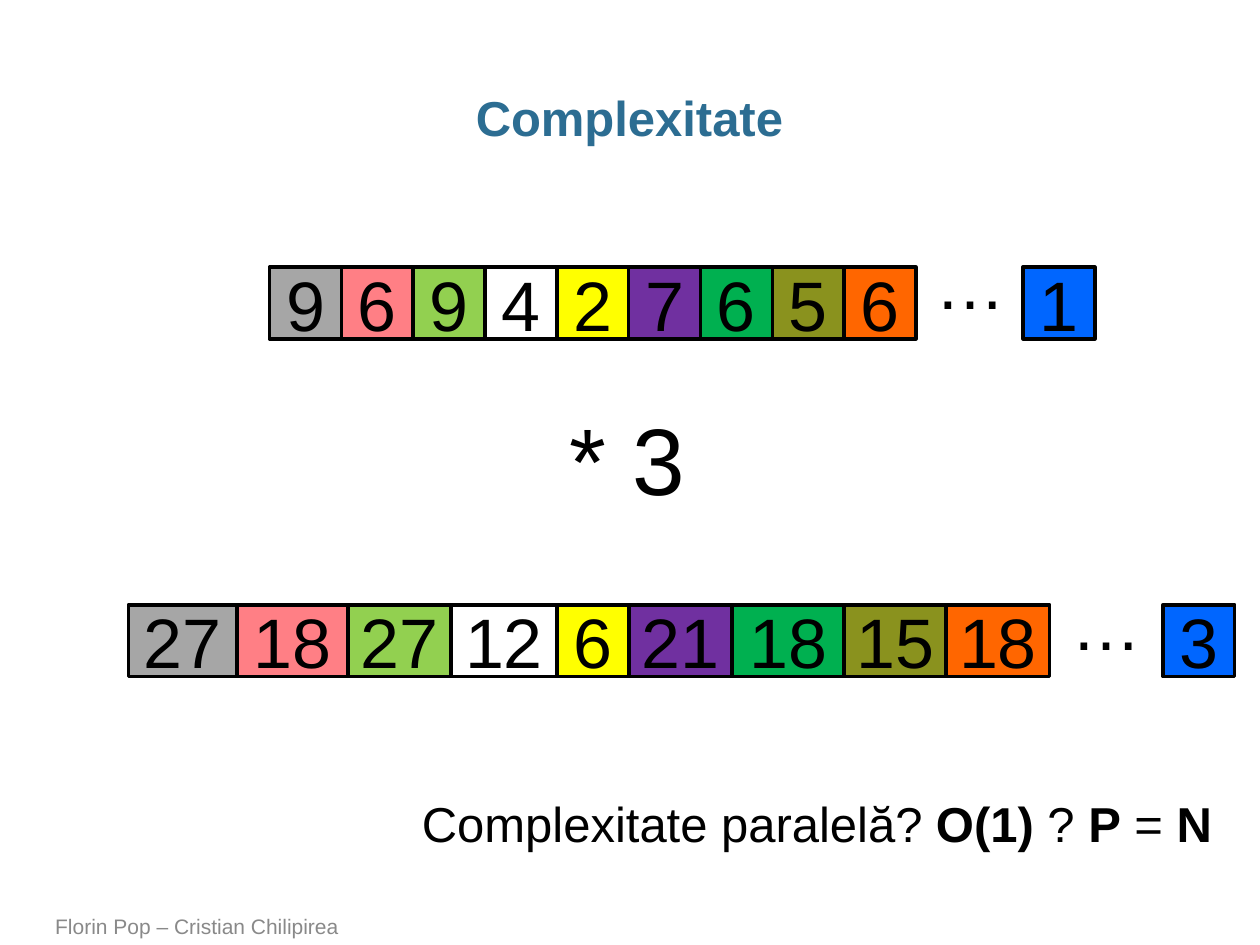
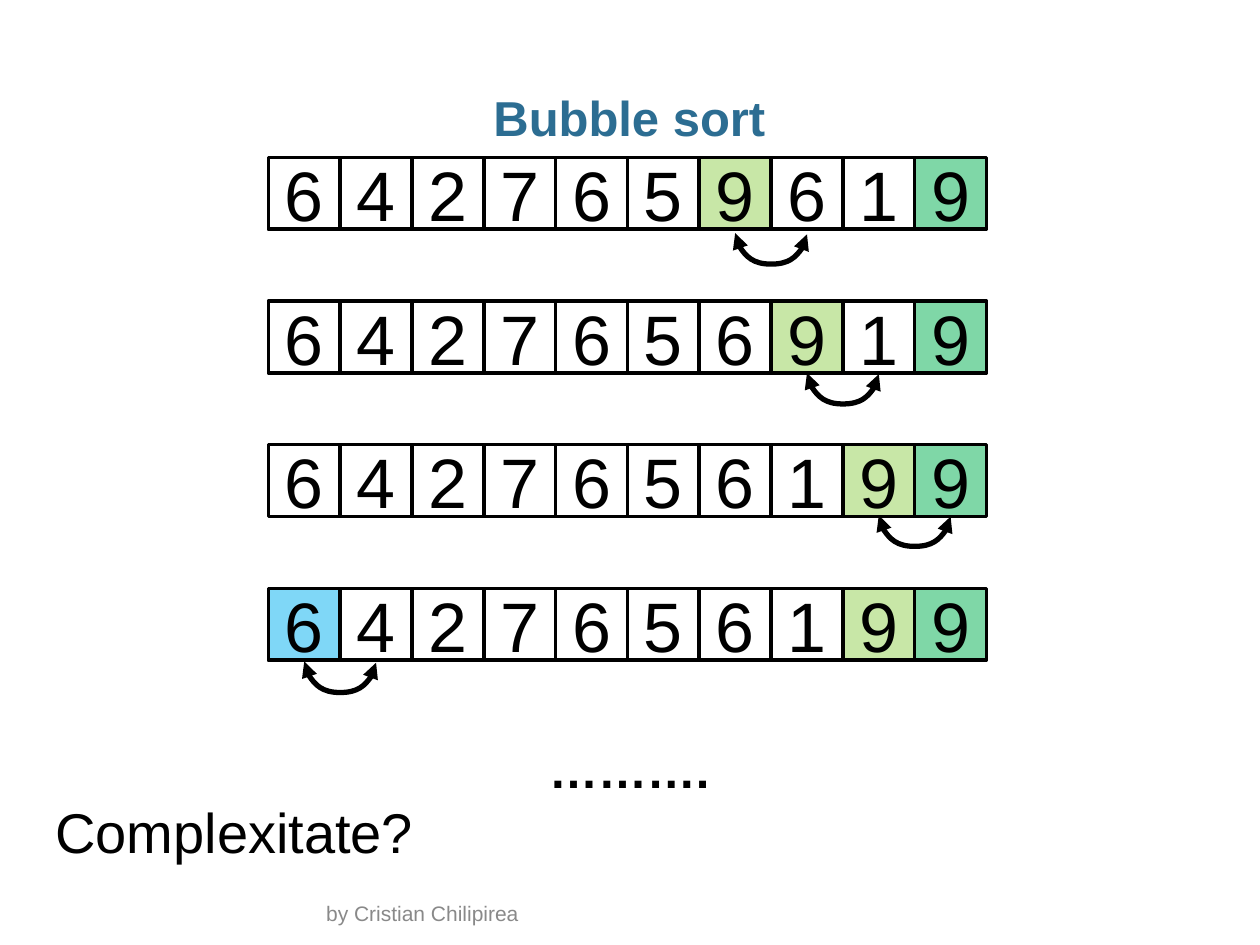
"""Build two slides: scaling a vector in parallel, and bubble sort passes."""
from dataclasses import dataclass
from itertools import accumulate

from lxml import etree
from pptx import Presentation
from pptx.dml.color import RGBColor
from pptx.enum.shapes import MSO_CONNECTOR, MSO_SHAPE
from pptx.enum.text import MSO_ANCHOR, MSO_AUTO_SIZE, PP_ALIGN
from pptx.oxml.ns import qn
from pptx.slide import Slide
from pptx.text.text import _Paragraph
from pptx.util import Inches, Pt

RECTANGLE = MSO_SHAPE.RECTANGLE
CURVE = MSO_CONNECTOR.CURVE
TOP, MIDDLE, BOTTOM = MSO_ANCHOR.TOP, MSO_ANCHOR.MIDDLE, MSO_ANCHOR.BOTTOM
LEFT, CENTER = PP_ALIGN.LEFT, PP_ALIGN.CENTER
GROW = MSO_AUTO_SIZE.SHAPE_TO_FIT_TEXT

FONT = "Arial"
COLORS = {
    "title": "2C6D92", "footer": "898989", "black": "000000",
    "gray": "A6A6A6", "pink": "FF7F85", "lime": "92D050",
    "yellow": "FFFF00", "purple": "7030A0", "green": "00B050",
    "olive": "8A921E", "orange": "FF6600", "blue": "0066FF", "sky": "00B0F0",
}
CELL = 0.57
VECTOR_COLORS = ["gray", "pink", "lime", "", "yellow", "purple", "green", "olive", "orange"]
SORT_LEFT, SORT_TOP, SORT_STEP = 2.13, 1.25, 1.14
SWAP_DEPTH, SWAP_OFFSET = 0.25, 0.01


@dataclass
class Cell:
    value: str
    left: float
    top: float
    color: str = ""
    width: float = CELL
    opacity: int = 100


@dataclass
class Label:
    text: str
    left: float
    top: float
    width: float
    height: float
    size: int
    color: str = "black"
    bold: bool = False
    align: PP_ALIGN = LEFT
    anchor: MSO_ANCHOR = TOP
    wrap: bool = False


@dataclass
class SortPass:
    values: str
    swap_at: int
    swap_top: float
    marks: dict[int, str]


VECTORS = [
    (2.14, 2.12, "9 6 9 4 2 7 6 5 6", [CELL] * 9),
    (1.02, 4.8, "27 18 27 12 6 21 18 15 18",
     [0.86, 0.88, 0.82, 0.84, CELL, 0.82, 0.89, 0.81, 0.82]),
]
LAST_CELLS = [Cell("1", 8.12, 2.12, "blue"), Cell("3", 9.23, 4.8, "blue")]
SCALING_LABELS = [
    Label("* 3", 4.42, 3.13, 1.13, 1.01, 54),
    Label("…", 7.33, 1.85, 0.76, 0.77, 40),
    Label("…", 8.41, 4.56, 0.76, 0.77, 40),
]
ANSWER = [("Complexitate paralelă? ", False), ("O(1) ", True), ("? ", False),
          ("P", True), (" = ", False), ("N", True)]
SORT_PASSES = [
    SortPass("6427659619", 6, 1.85, {6: "lime", 9: "green"}),
    SortPass("6427656919", 7, 2.96, {7: "lime", 9: "green"}),
    SortPass("6427656199", 8, 4.09, {8: "lime", 9: "green"}),
    SortPass("6427656199", 0, 5.25, {0: "sky", 8: "lime", 9: "green"}),
]
SORT_LABELS = [
    Label("……….", 4.26, 5.82, 1.49, 0.57, 28, bold=True),
    Label("Complexitate?", 0.34, 6.28, 3.07, 0.64, 32),
]


def rgb(name: str) -> RGBColor:
    return RGBColor.from_string(COLORS[name])


def style(paragraph: _Paragraph, size: int, color: str, align: PP_ALIGN) -> None:
    paragraph.alignment = align
    paragraph.font.name = FONT
    paragraph.font.size = Pt(size)
    paragraph.font.color.rgb = rgb(color)


def add_label(slide: Slide, label: Label) -> _Paragraph:
    box = slide.shapes.add_textbox(Inches(label.left), Inches(label.top),
                                   Inches(label.width), Inches(label.height))
    frame = box.text_frame
    frame.word_wrap = label.wrap
    frame.vertical_anchor = label.anchor
    if not label.wrap:
        frame.auto_size = GROW
    paragraph = frame.paragraphs[0]
    style(paragraph, label.size, label.color, label.align)
    if label.text:
        paragraph.add_run().text = label.text
        paragraph.font.bold = label.bold
    return paragraph


def add_title(slide: Slide, text: str) -> None:
    title = add_label(slide, Label(text, 0.34, 0.68, 9.31, 0.5, 28, "title",
                                   bold=True, align=CENTER, wrap=True))
    title.line_spacing = 0.95


def add_footer(slide: Slide, text: str, left: float, top: float,
               width: float, height: float) -> None:
    add_label(slide, Label(text, left, top, width, height, 12, "footer",
                           anchor=BOTTOM, wrap=True))


def add_cell(slide: Slide, cell: Cell) -> None:
    square = slide.shapes.add_shape(RECTANGLE, Inches(cell.left), Inches(cell.top),
                                    Inches(cell.width), Inches(CELL))
    square.shadow.inherit = False
    if cell.color:
        square.fill.solid()
        square.fill.fore_color.rgb = rgb(cell.color)
        if cell.opacity < 100:
            tint = square.fill._xPr.find(qn("a:solidFill"))[0]
            etree.SubElement(tint, qn("a:alpha"), val=str(cell.opacity * 1000))
    else:
        square.fill.background()
    square.line.color.rgb = rgb("black")
    square.line.width = Pt(2)
    frame = square.text_frame
    frame.margin_left = frame.margin_right = Inches(0.05)
    frame.vertical_anchor = MIDDLE
    digit = frame.paragraphs[0]
    style(digit, 40, "black", CENTER)
    digit.add_run().text = cell.value


def add_swap(slide: Slide, left: float, top: float) -> None:
    center_x, center_y = left + CELL / 2, top + SWAP_OFFSET / 2
    swap = slide.shapes.add_connector(
        CURVE,
        Inches(center_x + SWAP_OFFSET / 2), Inches(center_y - CELL / 2),
        Inches(center_x - SWAP_OFFSET / 2), Inches(center_y + CELL / 2))
    swap.line.color.rgb = rgb("black")
    swap.line.width = Pt(3)
    properties = swap._element.spPr
    properties.find(qn("a:xfrm")).set("rot", str(270 * 60000))
    bend = round(SWAP_DEPTH / SWAP_OFFSET * 100000)
    adjustments = properties.find(qn("a:prstGeom")).find(qn("a:avLst"))
    etree.SubElement(adjustments, qn("a:gd"), name="adj1", fmla=f"val {bend}")
    outline = properties.find(qn("a:ln"))
    for end in ("a:headEnd", "a:tailEnd"):
        etree.SubElement(outline, qn(end), type="triangle")
    etree.SubElement(properties, qn("a:effectLst"))


def build_scaling(slide: Slide) -> None:
    add_title(slide, "Complexitate")
    add_footer(slide, "Florin Pop – Cristian Chilipirea", 0.34, 7.22, 7.37, 0.28)
    for left, top, values, widths in VECTORS:
        lefts = accumulate(widths, initial=left)
        for value, x, color, width in zip(values.split(), lefts, VECTOR_COLORS, widths):
            add_cell(slide, Cell(value, x, top, color, width))
    for cell in LAST_CELLS:
        add_cell(slide, cell)
    for label in SCALING_LABELS:
        add_label(slide, label)
    answer = add_label(slide, Label("", 3.25, 6.25, 6.55, 0.57, 28))
    for text, bold in ANSWER:
        part = answer.add_run()
        part.text = text
        part.font.bold = bold


def build_bubble_sort(slide: Slide) -> None:
    add_title(slide, "Bubble sort")
    add_footer(slide, "by Cristian Chilipirea", 2.49, 7.16, 5.02, 0.24)
    for row, step in enumerate(SORT_PASSES):
        top = SORT_TOP + row * SORT_STEP
        for column, value in enumerate(step.values):
            add_cell(slide, Cell(value, SORT_LEFT + column * CELL, top,
                                 step.marks.get(column, ""), opacity=50))
        add_swap(slide, SORT_LEFT + (step.swap_at + 0.5) * CELL, step.swap_top)
    for label in SORT_LABELS:
        add_label(slide, label)


def main() -> None:
    deck = Presentation()
    deck.slide_width, deck.slide_height = Inches(10), Inches(7.5)
    blank = deck.slide_layouts[6]
    for build in (build_scaling, build_bubble_sort):
        build(deck.slides.add_slide(blank))
    deck.save("out.pptx")


if __name__ == "__main__":
    main()
